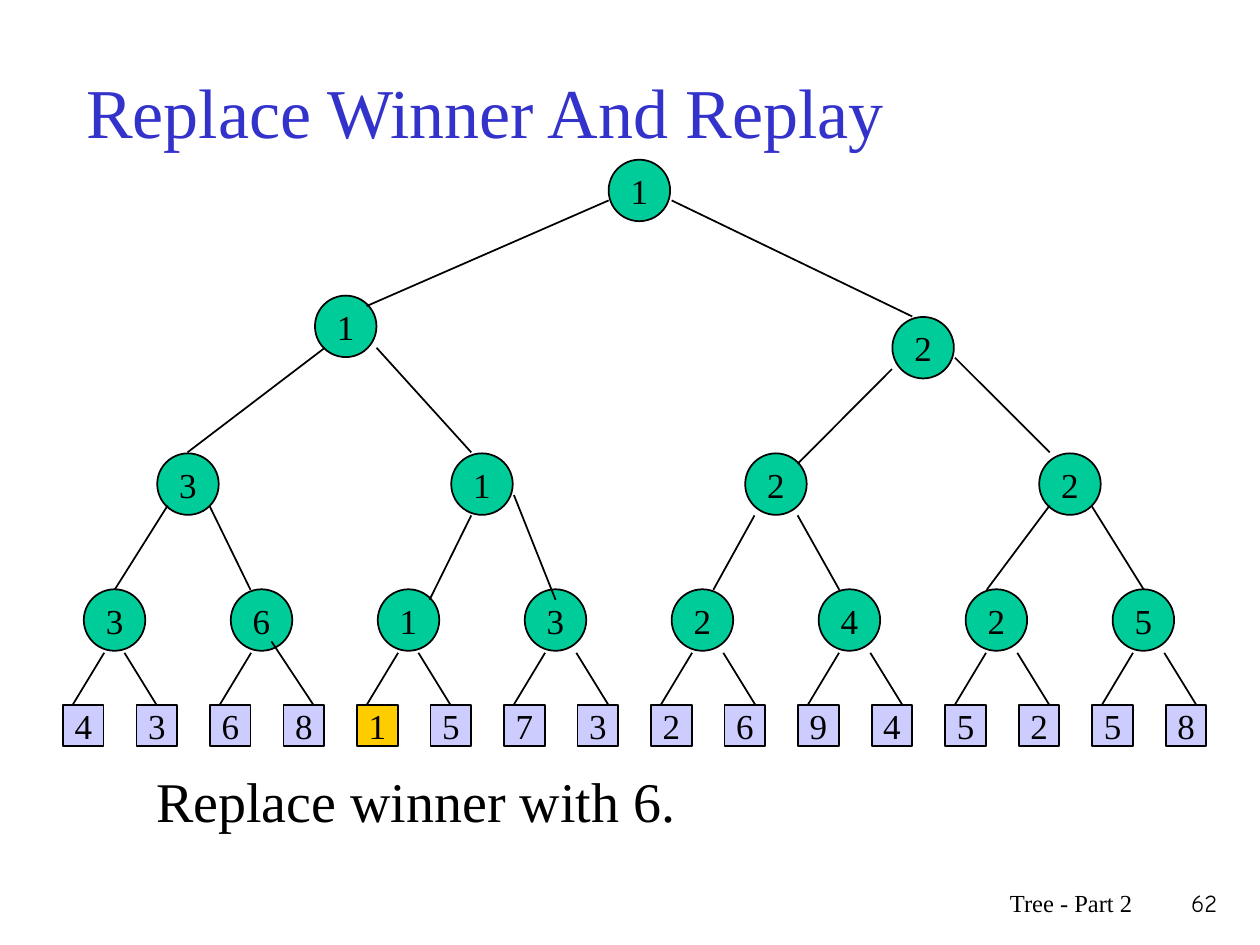
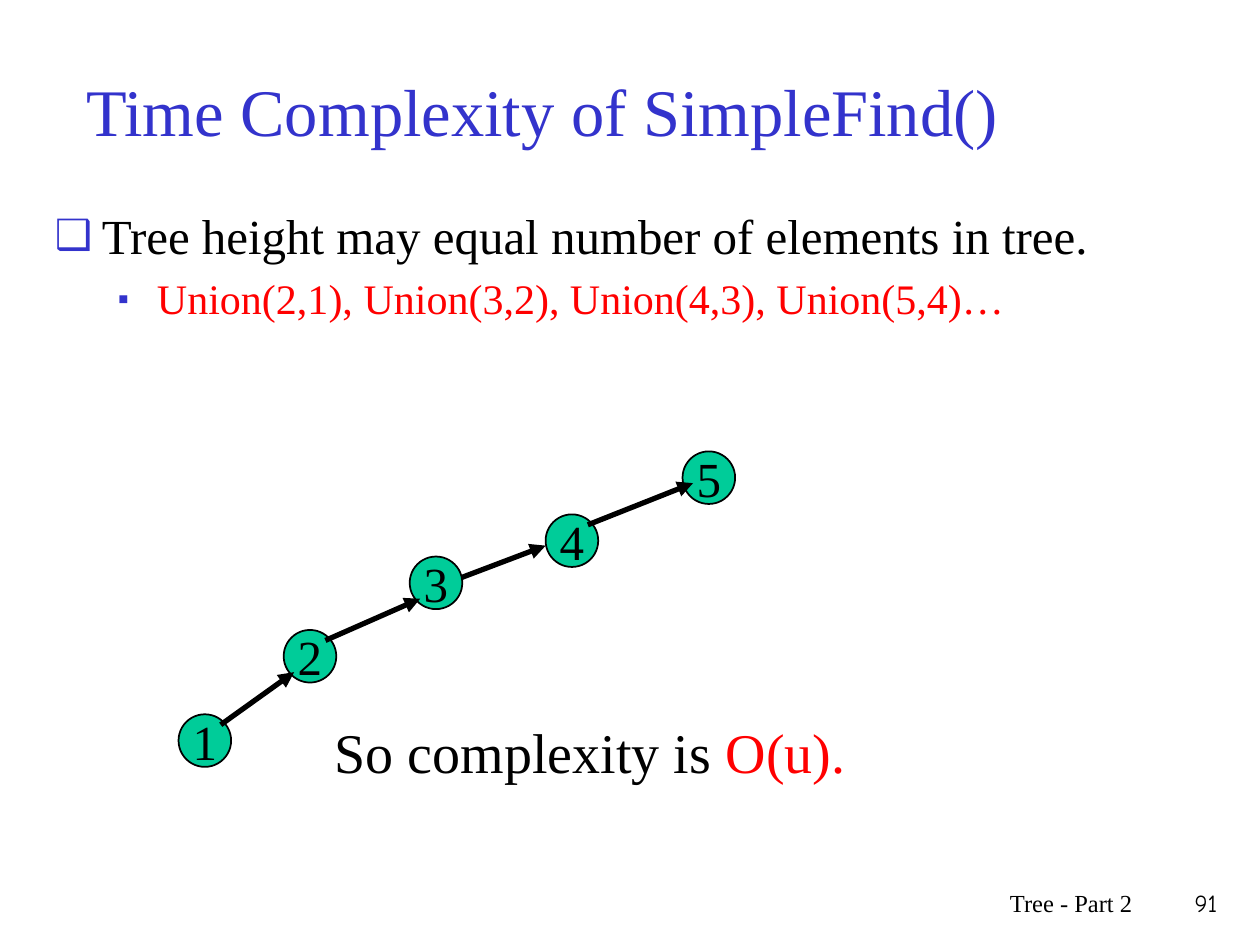
from lxml.etree import SubElement
from pptx import Presentation
from pptx.dml.color import RGBColor
from pptx.enum.shapes import MSO_CONNECTOR, MSO_SHAPE
from pptx.enum.text import MSO_ANCHOR, MSO_AUTO_SIZE, PP_ALIGN
from pptx.oxml.ns import qn
from pptx.util import Cm, Pt

BLACK = RGBColor(0x00, 0x00, 0x00)
RED = RGBColor(0xFF, 0x00, 0x00)
BLUE = RGBColor(0x33, 0x33, 0xCC)
GREEN = RGBColor(0x00, 0xCC, 0x99)
LAVENDER = RGBColor(0xCC, 0xCC, 0xFF)
GOLD = RGBColor(0xFF, 0xCC, 0x00)

SERIF = "Times New Roman"
NUMBER_FONT = "Comic Neue"
FOOTER = "Tree - Part 2"

# All lengths below are in centimetres.
PLAYERS = "4368157326945258"
WINNER = 4
LEAF_LEFT, LEAF_TOP, LEAF_SPAN, LEAF_SIZE = 1.27, 14.22, 22.23, 0.82
NODE_SIZE = 1.24

# Winners of each round: labels, first (left, top), last (left, top)
ROUNDS = [
    ("1", (12.27, 3.22), (12.27, 3.22)),
    ("12", (6.35, 5.96), (17.99, 6.39)),
    ("3122", (3.17, 9.14), (20.95, 9.14)),
    ("36132425", (1.69, 11.88), (22.43, 11.88)),
]
BRANCHES = [
    ((12.27, 4.04), (7.39, 6.17)), ((13.54, 4.04), (18.39, 6.38)),
    ((6.55, 7.01), (3.78, 9.12)), ((7.59, 7.01), (9.5, 9.12)),
    ((17.98, 7.44), (16.08, 9.35)), ((19.25, 7.21), (21.16, 9.12)),
    ((3.38, 10.19), (2.31, 11.89)), ((4.22, 10.19), (5.05, 11.89)),
    ((9.5, 10.39), (8.66, 12.09)), ((10.36, 9.98), (11.2, 12.09)),
    ((15.21, 10.39), (14.38, 11.89)), ((16.08, 10.39), (16.92, 11.89)),
    ((21.16, 10.19), (19.89, 11.89)), ((22, 10.19), (23.06, 11.89)),
]
TWIG_TOP, TWIG_BOTTOM, TWIG_RUN = 13.16, 14.2, 0.64

# Text, size, colour, indent, hanging, bullet, bullet size in percent
POINTS = [
    ("Tree height may equal number of elements in tree.",
     28, BLACK, 0.95, 0.95, "❑", 85),
    ("Union(2,1), Union(3,2), Union(4,3), Union(5,4)…",
     24, RED, 2.06, 0.79, "▪", 75),
]
CHAIN_SIZE = 1.06
CHAIN = [(3.6, 14.4), (5.72, 12.7), (8.26, 11.22), (11, 10.37), (13.76, 9.1)]
CHAIN_ARROWS = [
    ((4.45, 14.61), (5.93, 13.55)), ((6.56, 12.91), (8.47, 12.07)),
    ((9.31, 11.64), (11, 11)), ((11.85, 10.58), (13.97, 9.74)),
]


def set_font(font, size, color=BLACK, name=SERIF):
    font.size, font.name = Pt(size), name
    font.color.rgb = color


def place(shape, left, top, width, height):
    shape.left, shape.top = Cm(left), Cm(top)
    shape.width, shape.height = Cm(width), Cm(height)


def add_text(slide, box, runs, size, name=SERIF, align=PP_ALIGN.LEFT):
    """Add a one-line text box; runs are (text, colour) pairs."""
    frame = slide.shapes.add_textbox(*map(Cm, box)).text_frame
    frame.word_wrap = True
    paragraph = frame.paragraphs[0]
    paragraph.alignment = align
    for text, color in runs:
        run = paragraph.add_run()
        run.text = text
        set_font(run.font, size, color, name)


def add_node(slide, kind, left, top, side, label, size, fill):
    shape = slide.shapes.add_shape(kind, Cm(left), Cm(top), Cm(side), Cm(side))
    shape.shadow.inherit = False
    shape.fill.solid()
    shape.fill.fore_color.rgb = fill
    shape.line.color.rgb = BLACK
    shape.line.width = Pt(1)
    frame = shape.text_frame
    frame.margin_left = frame.margin_right = 0
    frame.margin_top = frame.margin_bottom = 0
    frame.word_wrap = False
    frame.vertical_anchor = MSO_ANCHOR.MIDDLE
    paragraph = frame.paragraphs[0]
    paragraph.text = label
    paragraph.alignment = PP_ALIGN.CENTER
    set_font(paragraph.font, size)


def add_line(slide, start, end, width=1, arrow=False):
    connector = slide.shapes.add_connector(
        MSO_CONNECTOR.STRAIGHT, *map(Cm, start + end))
    connector.line.color.rgb = BLACK
    connector.line.width = Pt(width)
    if arrow:
        SubElement(connector.line._get_or_add_ln(), qn("a:tailEnd"), type="triangle")
    SubElement(connector._element.spPr, qn("a:effectLst"))


def add_slide(presentation, layout, title, title_size, number):
    slide = presentation.slides.add_slide(presentation.slide_layouts[layout])
    place(slide.shapes.title, 1.48, 0.64, 21.59, 3.17)
    frame = slide.shapes.title.text_frame
    frame.text = title
    frame.auto_size = MSO_AUTO_SIZE.NONE
    frame.vertical_anchor = MSO_ANCHOR.MIDDLE
    paragraph = frame.paragraphs[0]
    paragraph.alignment = PP_ALIGN.LEFT
    set_font(paragraph.font, title_size, BLUE)
    add_text(slide, (15.03, 17.78, 8.05, 1.27), [(FOOTER, BLACK)], 14,
             align=PP_ALIGN.RIGHT)
    add_text(slide, (23.07, 17.78, 1.72, 1.27), [(number, BLACK)], 14,
             NUMBER_FONT, PP_ALIGN.RIGHT)
    return slide


def set_bullet(paragraph, indent, hanging, char, percent):
    properties = paragraph._p.get_or_add_pPr()
    properties.set("marL", str(Cm(indent)))
    properties.set("indent", str(-Cm(hanging)))
    color = SubElement(properties, qn("a:buClr"))
    SubElement(color, qn("a:srgbClr"), val=str(BLUE))
    SubElement(properties, qn("a:buSzPct"), val=str(percent * 1000))
    SubElement(properties, qn("a:buChar"), char=char)


def fill_body(body, points):
    place(body, 0.85, 4.02, 23.5, 4.87)
    frame = body.text_frame
    frame.auto_size = MSO_AUTO_SIZE.NONE
    for level, (text, size, color, *bullet) in enumerate(points):
        paragraph = frame.add_paragraph() if level else frame.paragraphs[0]
        paragraph.text = text
        paragraph.level = level
        paragraph.space_before = Pt(size * 0.2 if level else 0)
        set_bullet(paragraph, *bullet)
        set_font(paragraph.font, size, color)


def spread(first, last, count):
    """Return count evenly spaced values from first to last."""
    return [first + (last - first) * i / max(count - 1, 1) for i in range(count)]


def draw_leaf_lines(slide, node_lefts, leaf_lefts):
    for i, left in enumerate(node_lefts):
        start = left + 0.41
        add_line(slide, (start, TWIG_TOP), (leaf_lefts[2 * i] + 0.2, TWIG_BOTTOM))
        start = left + (0.82 if i < 3 else 1.04)
        top, run = (12.93, 0.84) if i == 1 else (TWIG_TOP, TWIG_RUN)
        add_line(slide, (start, top), (start + run, TWIG_BOTTOM))


def build_winner_tree(presentation):
    slide = add_slide(presentation, 5, "Replace Winner And Replay", 40, "62")
    leaf_lefts = spread(LEAF_LEFT, LEAF_LEFT + LEAF_SPAN, len(PLAYERS))
    for i, (left, player) in enumerate(zip(leaf_lefts, PLAYERS)):
        add_node(slide, MSO_SHAPE.RECTANGLE, left, LEAF_TOP, LEAF_SIZE, player,
                 20, GOLD if i == WINNER else LAVENDER)
    for labels, first, last in ROUNDS:
        lefts, tops = (spread(a, b, len(labels)) for a, b in zip(first, last))
        for label, left, top in zip(labels, lefts, tops):
            add_node(slide, MSO_SHAPE.OVAL, left, top, NODE_SIZE, label, 20, GREEN)
    for start, end in BRANCHES:
        add_line(slide, start, end)
    draw_leaf_lines(slide, lefts, leaf_lefts)
    add_text(slide, (2.9, 15.32, 20.12, 1.6),
             [("Replace winner with 6.", BLACK)], 32)


def build_find_complexity(presentation):
    slide = add_slide(presentation, 1, "Time Complexity of SimpleFind()", 38, "91")
    fill_body(slide.placeholders[1], POINTS)
    for number, (left, top) in enumerate(CHAIN, 1):
        add_node(slide, MSO_SHAPE.OVAL, left, top, CHAIN_SIZE, str(number), 28, GREEN)
    for start, end in CHAIN_ARROWS:
        add_line(slide, start, end, 3, arrow=True)
    add_text(slide, (6.5, 14.33, 14.4, 1.6),
             [("So complexity is ", BLACK), ("O(u).", RED)], 32)


def main():
    presentation = Presentation()
    presentation.slide_width, presentation.slide_height = Cm(25.4), Cm(19.05)
    build_winner_tree(presentation)
    build_find_complexity(presentation)
    presentation.save("out.pptx")


if __name__ == "__main__":
    main()
